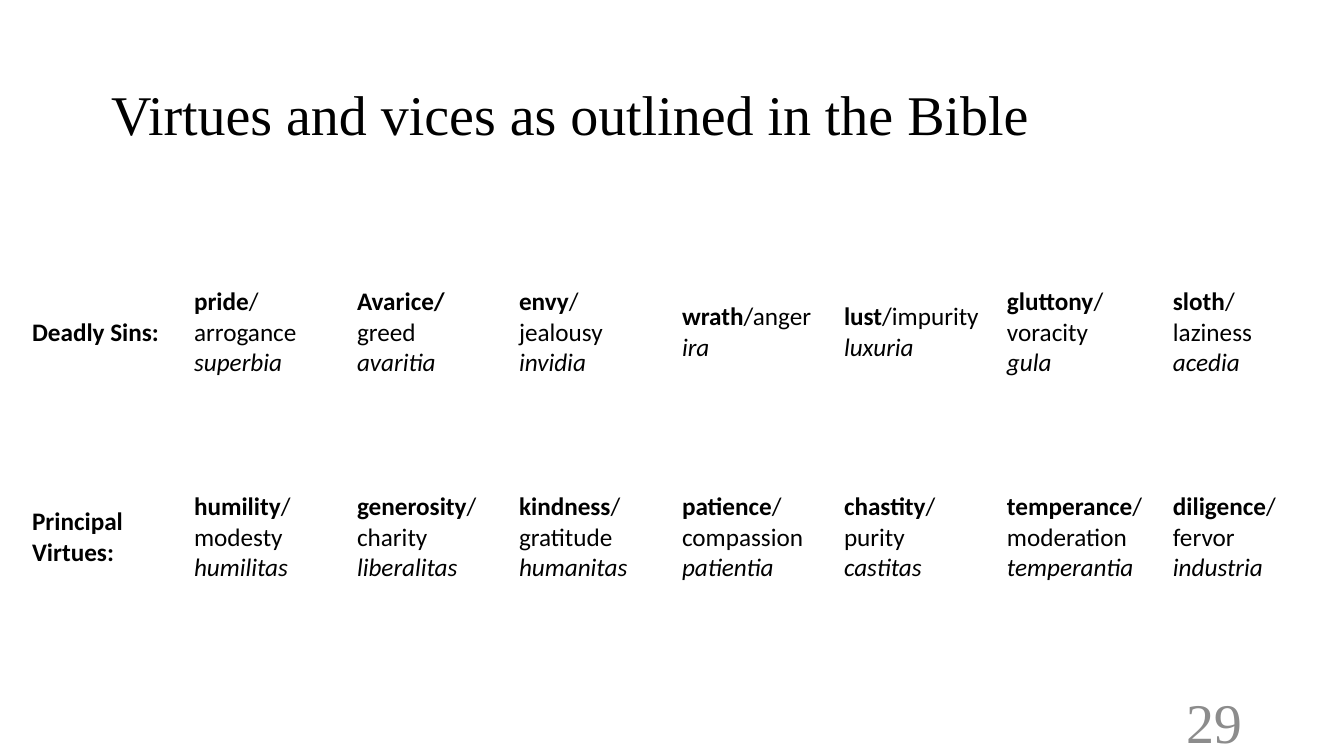
from pptx import Presentation
from pptx.dml.color import RGBColor
from pptx.enum.text import MSO_ANCHOR as Anchor, MSO_AUTO_SIZE as AutoSize, PP_ALIGN as Align
from pptx.util import Emu, Pt

BLACK = RGBColor(0x00, 0x00, 0x00)
GREY = RGBColor(0x8C, 0x8C, 0x8C)
WHITE = RGBColor(0xFF, 0xFF, 0xFF)

PX = 914400 / 100.8
SLIDE_SIZE = (1344, 756)

HEADING_FONT = {"name": "Times New Roman", "size": Pt(40)}
TABLE_FONT = {"name": "Calibri", "size": Pt(18)}
FRAME = {"word_wrap": True, "auto_size": AutoSize.NONE, "vertical_anchor": Anchor.MIDDLE}

# Each entry: bold word, plain meaning, Latin name; a newline starts a paragraph
DEADLY_SINS = [
    ("Deadly Sins:", "", ""),
    ("pride", "/\narrogance", "superbia"),
    ("Avarice/", "\ngreed", "avaritia"),
    ("envy", "/\njealousy", "invidia"),
    ("wrath", "/anger", "ira"),
    ("lust", "/impurity", "luxuria"),
    ("gluttony", "/\nvoracity", "gula"),
    ("sloth", "/\nlaziness", "acedia"),
]
PRINCIPAL_VIRTUES = [
    ("Principal \nVirtues:", "", ""),
    ("humility", "/\nmodesty", "humilitas"),
    ("generosity", "/\ncharity", "liberalitas"),
    ("kindness", "/\ngratitude", "humanitas"),
    ("patience", "/\ncompassion", "patientia"),
    ("chastity", "/\npurity", "castitas"),
    ("temperance", "/moderation", "temperantia"),
    ("diligence", "/\nfervor", "industria"),
]
COLUMN_WIDTHS = [162, 163] * 3 + [166, 159]
ROW_HEIGHT = 205


def px(length):
    return Emu(round(length * PX))


def apply(target, values):
    for name, value in values.items():
        setattr(target, name, value)


class SlideBuilder:
    def __init__(self, deck):
        self.slide = deck.slides.add_slide(deck.slide_layouts[5])

    def add_run(self, paragraph, text, font, color):
        run = paragraph.add_run()
        run.text = text
        apply(run.font, font)
        run.font.color.rgb = color

    def heading(self, shape, text, color, paragraph_format):
        apply(shape.text_frame, FRAME)
        paragraph = shape.text_frame.paragraphs[0]
        apply(paragraph, paragraph_format)
        self.add_run(paragraph, text, HEADING_FONT, color)

    def title(self, text, left, top, width, height):
        title = self.slide.shapes.title
        apply(title, {"left": px(left), "top": px(top),
                      "width": px(width), "height": px(height)})
        self.heading(title, text, BLACK, {"alignment": Align.LEFT, "line_spacing": 0.9})

    def page_number(self, text, *box):
        number = self.slide.shapes.add_textbox(*map(px, box))
        self.heading(number, text, GREY, {"alignment": Align.RIGHT})

    def entry(self, cell, word, meaning, latin):
        cell.fill.solid()
        cell.fill.fore_color.rgb = WHITE
        cell.vertical_anchor = Anchor.MIDDLE
        paragraph = cell.text_frame.paragraphs[0]
        for text, bold, italic in ((word, True, False), (meaning, False, False),
                                   (latin, False, True)):
            if italic and text:
                paragraph.add_line_break()
            for index, line in enumerate(text.split("\n")):
                if index:
                    paragraph = cell.text_frame.add_paragraph()
                if line:
                    font = {**TABLE_FONT, "bold": bold, "italic": italic}
                    self.add_run(paragraph, line, font, BLACK)

    def table(self, rows, left, top):
        box = (left, top, sum(COLUMN_WIDTHS), ROW_HEIGHT * len(rows))
        table = self.slide.shapes.add_table(
            len(rows), len(COLUMN_WIDTHS), *map(px, box)).table
        apply(table, {"first_row": False, "horz_banding": False})
        for column, width in zip(table.columns, COLUMN_WIDTHS):
            column.width = px(width)
        for row, entries in zip(table.rows, rows):
            row.height = px(ROW_HEIGHT)
            for cell, parts in zip(row.cells, entries):
                self.entry(cell, *parts)


def main():
    deck = Presentation()
    deck.slide_width, deck.slide_height = map(px, SLIDE_SIZE)
    builder = SlideBuilder(deck)

    # Title and page number
    builder.title("Virtues and vices as outlined in the Bible", 101, 69, 1142, 96)
    builder.page_number("29", 950, 701, 302, 40)

    # Sins above their matching virtues
    builder.table([DEADLY_SINS, PRINCIPAL_VIRTUES], 22, 230)

    deck.save("out.pptx")


if __name__ == "__main__":
    main()
